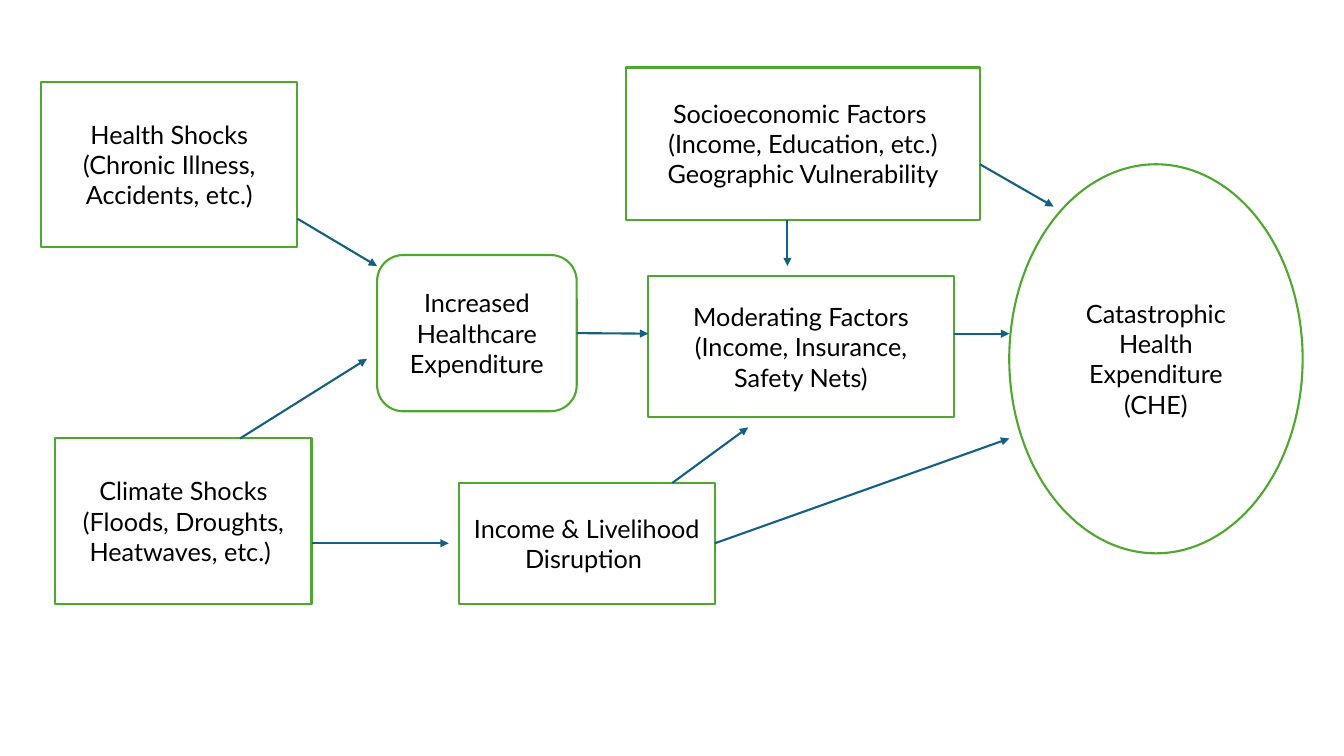
from lxml import etree
from pptx import Presentation
from pptx import util as u
from pptx.dml import color
from pptx.enum import shapes, text
from pptx.oxml import ns

PX = u.Inches(1) // 100
GREEN, BLUE, WHITE, BLACK = "4EA72E", "156082", "FFFFFF", "000000"
RECT = shapes.MSO_SHAPE.RECTANGLE
ROUND = shapes.MSO_SHAPE.ROUNDED_RECTANGLE
OVAL = shapes.MSO_SHAPE.OVAL
RIGHT = 3

BOXES = {
    "health": (RECT, (41, 81, 254, 164),
               "Health Shocks\n(Chronic Illness, Accidents, etc.)"),
    "climate": (RECT, (55, 435, 254, 164),
                "Climate Shocks\n(Floods, Droughts, Heatwaves, etc.) "),
    "spending": (ROUND, (374, 253, 198, 155),
                 "Increased Healthcare\nExpenditure"),
    "factors": (RECT, (643, 274, 303, 140),
                "Moderating Factors\n(Income, Insurance, Safety Nets)"),
    "outcome": (OVAL, (1001, 163, 291, 386),
                "Catastrophic Health Expenditure (CHE)"),
    "income": (RECT, (455, 479, 254, 120),
               "Income & Livelihood Disruption "),
    "social": (RECT, (621, 67, 351, 151),
               "Socioeconomic Factors \n(Income, Education, etc.)\n"
               "Geographic Vulnerability"),
}

ARROWS = [
    (295, 217, 374, 264),
    (238, 435, 364, 356),
    (309, 539, 445, 539),
    (781, 218, 781, 264),
    (667, 479, 742, 424),
    (972, 163, 1045, 205),
    (946, 331, 1001, 331),
]

JOINED = [
    ("spending", (572, 331, 643, 331)),
    ("income", (709, 539, 1001, 435)),
]


def paint(form, code):
    form.rgb = color.RGBColor.from_string(code)


def add_box(slide, kind, place, words):
    box = slide.shapes.add_shape(kind, *(n * PX for n in place))
    box.shadow.inherit = False
    box.fill.solid()
    paint(box.fill.fore_color, WHITE)
    paint(box.line.color, GREEN)
    box.line.width = u.Pt(1.5)
    frame = box.text_frame
    frame.text = words
    frame.word_wrap = True
    frame.vertical_anchor = text.MSO_ANCHOR.MIDDLE
    for para in frame.paragraphs:
        para.alignment = text.PP_ALIGN.CENTER
        for run in para.runs:
            run.font.name = "Lato"
            run.font.size = u.Pt(18)
            paint(run.font.color, BLACK)
    return box


def add_arrow(slide, ends):
    arrow = slide.shapes.add_connector(
        shapes.MSO_CONNECTOR.STRAIGHT, *(n * PX for n in ends))
    paint(arrow.line.color, BLUE)
    arrow.line.width = u.Pt(1.5)
    props = arrow.element.spPr
    line = props.find(ns.qn("a:ln"))
    etree.SubElement(line, ns.qn("a:tailEnd"), type="triangle")
    etree.SubElement(props, ns.qn("a:effectLst"))
    return arrow


def main():
    deck = Presentation()
    deck.slide_width, deck.slide_height = 1333 * PX, 750 * PX
    slide = deck.slides.add_slide(deck.slide_layouts[6])
    boxes = {name: add_box(slide, *spec) for name, spec in BOXES.items()}
    for ends in ARROWS:
        add_arrow(slide, ends)
    for name, ends in JOINED:
        add_arrow(slide, ends).begin_connect(boxes[name], RIGHT)
    deck.save("out.pptx")


if __name__ == "__main__":
    main()
